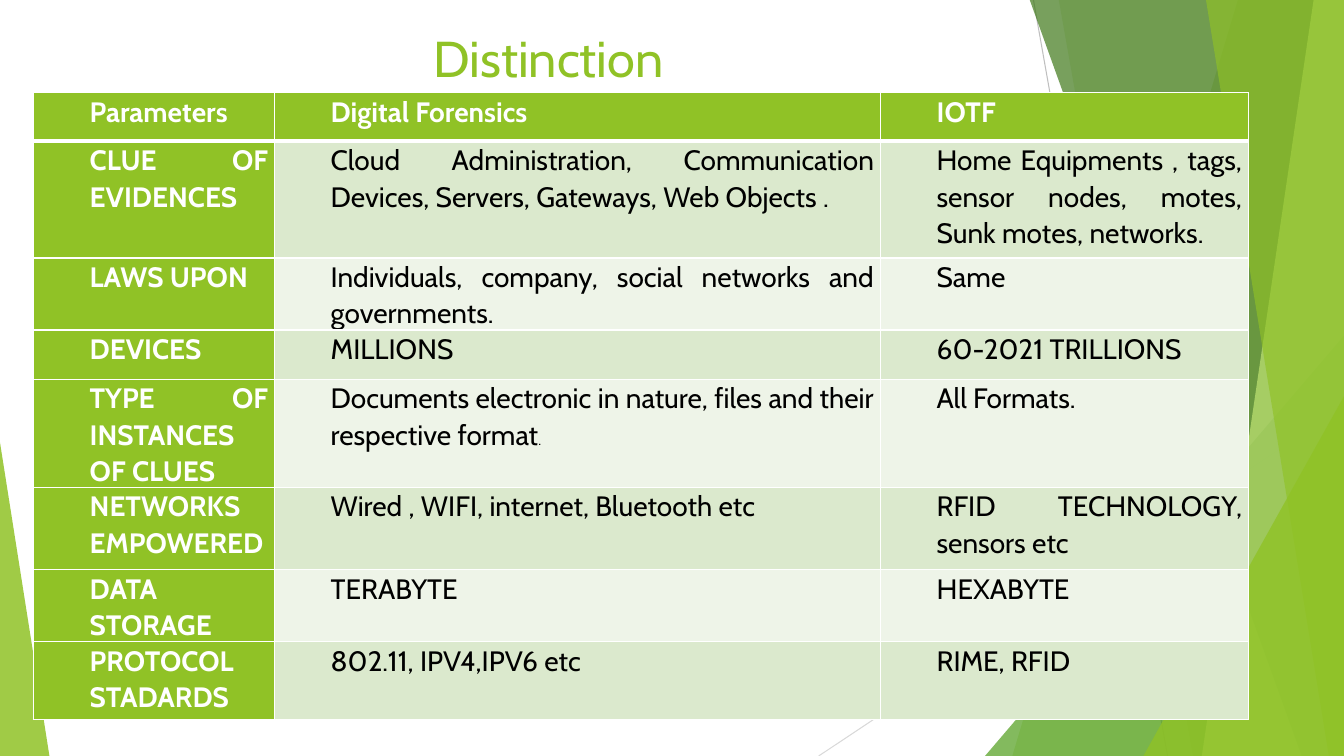
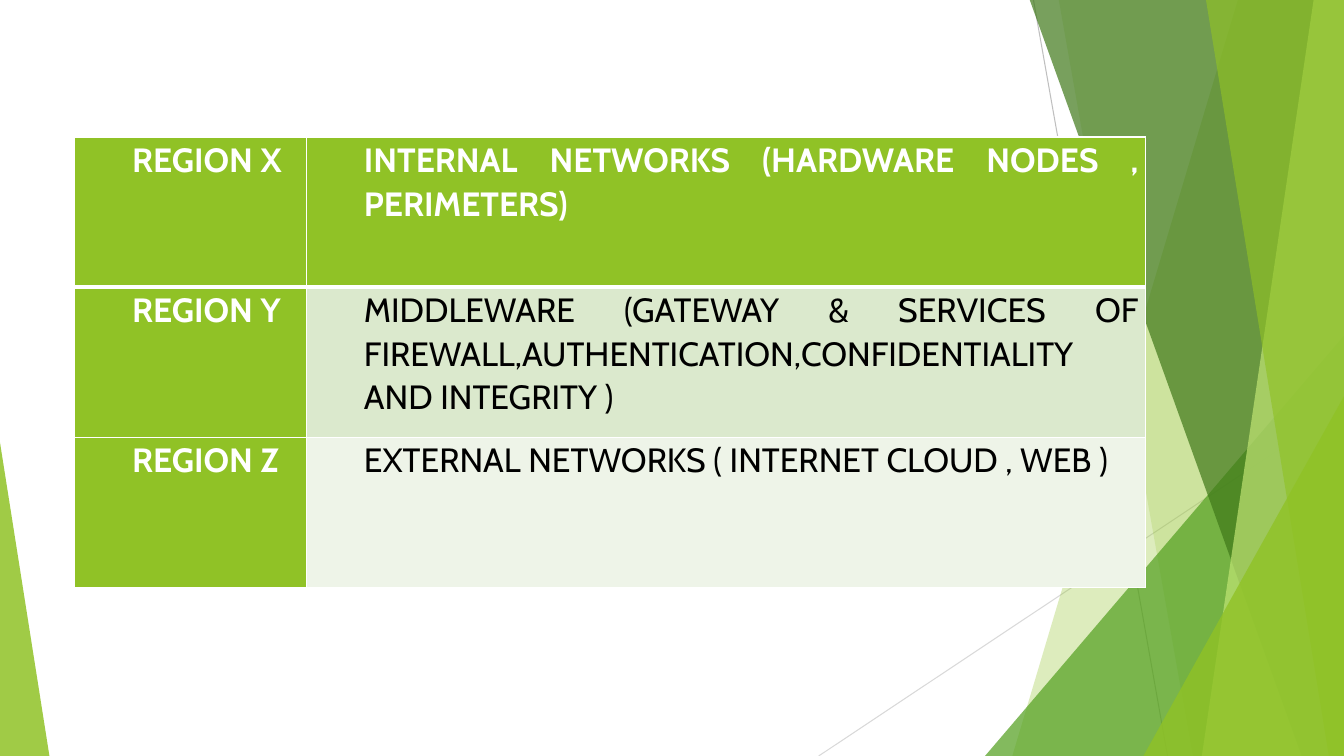
from lxml import etree
from pptx import Presentation
from pptx.dml.color import RGBColor as RGB
from pptx.enum.shapes import MSO_CONNECTOR as CONN, MSO_SHAPE as SHAPE
from pptx.enum.text import MSO_ANCHOR as ANCHOR, PP_ALIGN as ALIGN
from pptx.oxml.ns import qn
from pptx.util import Inches, Pt

WIDE, HIGH = 13.33, 7.5
HUES = {
    "green": "90C226", "leaf": "54A021", "dark": "3F7819", "lime": "C0E474",
    "band": "DBE9CD", "pale": "EEF4E8", "white": "FFFFFF", "black": "000000",
    "gray": "BFBFBF", "mist": "D9D9D9",
}
FONT = "Cabin"


def write(par, text, hue, **form):
    """Add a run of text to a paragraph."""
    run = par.add_run()
    run.text = text
    for key, val in {"name": FONT, **form}.items():
        setattr(run.font, key, val)
    run.font.color.rgb = RGB.from_string(HUES[hue])


def add_grid(slide, left, top, cols, rows, size, pad, data):
    """Add a table with a green header row and first column."""
    grid = slide.shapes.add_table(
        len(rows), len(cols), Inches(left), Inches(top),
        Inches(sum(cols)), Inches(sum(rows))).table
    for col, wide in zip(grid.columns, cols):
        col.width = Inches(wide)
    for r, (row, high) in enumerate(zip(grid.rows, rows)):
        row.height = Inches(high)
        for c, cell in enumerate(row.cells):
            head = r == 0 or c == 0
            # Borders: thick between the header and the body
            props = cell._tc.get_or_add_tcPr()
            for side in "LRTB":
                thick = (r, side) in ((0, "B"), (1, "T"))
                line = etree.SubElement(props, qn(f"a:ln{side}"), w=str(Pt(3 if thick else 1)))
                fill = etree.SubElement(line, qn("a:solidFill"))
                etree.SubElement(fill, qn("a:srgbClr"), val=HUES["white"])
            cell.fill.solid()
            hue = "green" if head else "band" if r % 2 else "pale"
            cell.fill.fore_color.rgb = RGB.from_string(HUES[hue])
            form = {"margin_left": Inches(pad), "margin_right": Inches(pad),
                    "margin_top": 0, "margin_bottom": 0}
            for key, val in form.items():
                setattr(cell, key, val)
            # Text
            par = cell.text_frame.paragraphs[0]
            par.alignment = ALIGN.JUSTIFY
            par.line_spacing = 1.07
            par._p.get_or_add_pPr().set("marL", str(Inches(0.5)))
            write(par, data[r][c], "white" if head else "black", size=Pt(size), bold=head)
    return grid


deck = Presentation()
deck.slide_width, deck.slide_height = Inches(WIDE), Inches(HIGH)
blank = deck.slide_layouts[6]
for holder in list(blank.placeholders):
    holder.element.getparent().remove(holder.element)
first, second = [deck.slides.add_slide(blank) for _ in range(2)]

# Shared backdrop: thin lines
shapes = first.shapes
decor = []
for x1, y1, x2, y2, hue in [
    (10.25, 0, 11.58, HIGH, "gray"),
    (WIDE, 4.03, 8.12, HIGH, "mist"),
]:
    line = shapes.add_connector(CONN.STRAIGHT, Inches(x1), Inches(y1), Inches(x2), Inches(y2))
    line.line.width = Pt(0.75)
    line.line.color.rgb = RGB.from_string(HUES[hue])
    etree.SubElement(line.element.spPr, qn("a:effectLst"))
    decor.append(line)

# Shared backdrop: bands are (top x, bottom x), triangles (left, top, width, tip)
for kind, dims, hue, alpha in [
    ("band", (12.28, 10.04), "green", 30),
    ("band", (10.5, 11.83), "green", 20),
    ("peak", (9.77, 3.33, 3.56, 1), "leaf", 72),
    ("band", (10.21, 12.91), "dark", 70),
    ("band", (13.03, 11.92), "lime", 70),
    ("band", (11.96, 13.18), "green", 65),
    ("peak", (11.34, 3.93, 1.99, 1), "green", 80),
    ("peak", (0, 4.39, 0.49, 0), "green", 85),
]:
    if kind == "band":
        top, low = dims
        path = shapes.build_freeform(Inches(top), Inches(-0.01))
        path.add_line_segments([(Inches(x), Inches(y)) for x, y in
                                ((WIDE, -0.01), (WIDE, HIGH), (low, HIGH))])
        part = path.convert_to_shape()
    else:
        left, top, wide, tip = dims
        part = shapes.add_shape(SHAPE.ISOSCELES_TRIANGLE, Inches(left), Inches(top),
                                Inches(wide), Inches(HIGH - top))
        part.adjustments[0] = tip
    part.shadow.inherit = False
    part.line.fill.background()
    part.fill.solid()
    part.fill.fore_color.rgb = RGB.from_string(HUES[hue])
    tint = part.element.spPr.find(f"{qn('a:solidFill')}/{qn('a:srgbClr')}")
    etree.SubElement(tint, qn("a:alpha"), val=str(alpha * 1000))
    decor.append(part)

# Both slides take the backdrop from the layout
for part in decor:
    blank.shapes.element.append(part.element)

# Slide 1: title and comparison
box = first.shapes.add_textbox(Inches(0.74), Inches(0.21), Inches(9.4), Inches(0.71))
frame = box.text_frame
frame.word_wrap = True
frame.vertical_anchor = ANCHOR.BOTTOM
title = frame.paragraphs[0]
title.alignment = ALIGN.CENTER
write(title, "Distinction", "green", size=Pt(36))

facts = [
    ("Parameters", "Digital Forensics", "IOTF"),
    ("CLUE OF EVIDENCES",
     "Cloud Administration, Communication Devices, Servers, Gateways, Web Objects .",
     "Home Equipments , tags, sensor nodes, motes, Sunk motes, networks."),
    ("LAWS UPON", "Individuals, company, social networks and governments.", "Same"),
    ("DEVICES", "MILLIONS", "60-2021 TRILLIONS"),
    ("TYPE OF INSTANCES OF CLUES",
     "Documents electronic in nature, files and their respective format", "All Formats."),
    ("NETWORKS EMPOWERED", "Wired , WIFI, internet, Bluetooth etc",
     "RFID TECHNOLOGY, sensors etc"),
    ("DATA STORAGE", "TERABYTE", "HEXABYTE"),
    ("PROTOCOL STADARDS", "802.11, IPV4,IPV6 etc", "RIME, RFID"),
]
grid = add_grid(first, 0.33, 0.92, [2.39, 6.01, 3.65],
                [0.48, 1.16, 0.63, 0.49, 0.99, 0.82, 0.6, 0.77], 20, 0.06, facts)
write(grid.cell(4, 1).text_frame.paragraphs[0], ".", "black", size=Pt(10), bold=False)

# Slide 2: regions
zones = [
    ("REGION X", "INTERNAL NETWORKS (HARDWARE NODES , PERIMETERS)"),
    ("REGION Y", "MIDDLEWARE (GATEWAY & SERVICES OF "
                 "FIREWALL,AUTHENTICATION,CONFIDENTIALITY AND INTEGRITY )"),
    ("REGION Z", "EXTERNAL NETWORKS ( INTERNET CLOUD , WEB )"),
]
add_grid(second, 0.74, 1.36, [2.3, 8.32], [1.49] * 3, 24, 0.07, zones)

deck.save("out.pptx")
